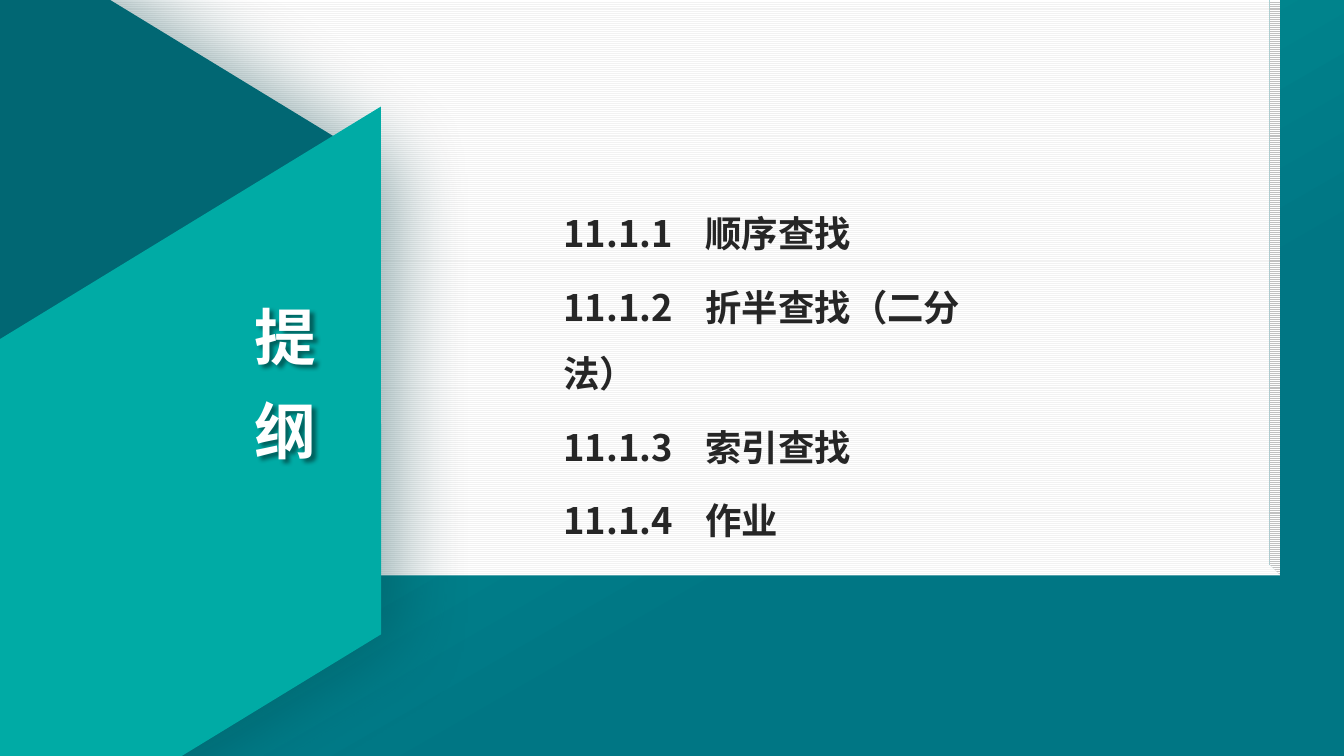
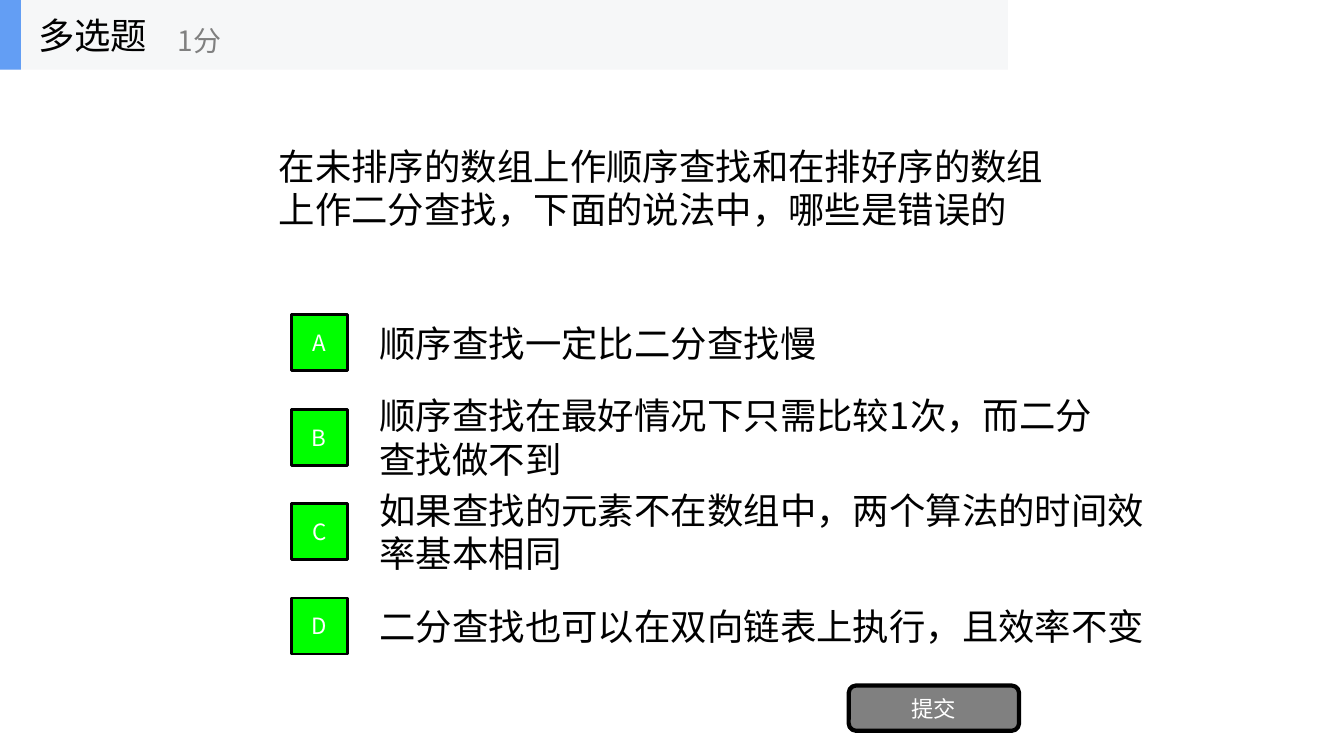
from lxml import etree
from pptx import Presentation
from pptx.dml.color import RGBColor
from pptx.enum.dml import MSO_PATTERN
from pptx.enum.shapes import MSO_SHAPE
from pptx.enum.text import MSO_ANCHOR, MSO_AUTO_SIZE, PP_ALIGN
from pptx.oxml.ns import qn
from pptx.util import Inches, Pt

RECTANGLE, ROUNDED = MSO_SHAPE.RECTANGLE, MSO_SHAPE.ROUNDED_RECTANGLE
CUBE, HEXAGON, PARALLELOGRAM = MSO_SHAPE.CUBE, MSO_SHAPE.HEXAGON, MSO_SHAPE.PARALLELOGRAM
LIGHT_HORIZONTAL = MSO_PATTERN.LIGHT_HORIZONTAL
TOP, MIDDLE = MSO_ANCHOR.TOP, MSO_ANCHOR.MIDDLE
LEFT, CENTER = PP_ALIGN.LEFT, PP_ALIGN.CENTER
FIXED, GROW = MSO_AUTO_SIZE.NONE, MSO_AUTO_SIZE.SHAPE_TO_FIT_TEXT

WHITE = RGBColor(0xFF, 0xFF, 0xFF)
BLACK = RGBColor(0x00, 0x00, 0x00)
GRAY = RGBColor(0x80, 0x80, 0x80)
INK = RGBColor(0x26, 0x26, 0x26)
PAPER_LINE = RGBColor(0xF2, 0xF2, 0xF2)
TURQUOISE = RGBColor(0x00, 0xAB, 0xA5)
TEAL = RGBColor(0x00, 0x76, 0x84)
DEEP_TEAL = RGBColor(0x01, 0x67, 0x73)
SHADE = RGBColor(0x01, 0x3F, 0x45)
GREEN = RGBColor(0x00, 0xFF, 0x00)
BAND = RGBColor(0xF6, 0xF7, 0xF8)
ACCENT = RGBColor(0x63, 0x9E, 0xF4)

FONT = "Noto Sans CJK SC"
WIDTH, HEIGHT = Inches(13.333), Inches(7.5)

BODY = {"size": Pt(26), "color": BLACK}
OUTLINE = {"size": Pt(26), "color": INK, "bold": True}
TITLE = {"size": Pt(44), "color": WHITE, "bold": True}
SCORE = {"size": Pt(20), "color": GRAY}
LABEL = {"size": Pt(16), "color": WHITE}

BAND_HEIGHT = 9.2
OPTION_TOP, OPTION_PITCH, OPTION_HEIGHT = 40.67, 12.49, 9.33
MARK_HEIGHT = 7.41

TOPICS = [
    ("11.1.1", "顺序查找"),
    ("11.1.2", "折半查找（二分法）"),
    ("11.1.3", "索引查找"),
    ("11.1.4", "作业"),
]
QUESTION = "在未排序的数组上作顺序查找和在排好序的数组上作二分查找，下面的说法中，哪些是错误的"
OPTIONS = [
    ("A", "顺序查找一定比二分查找慢", 52.5),
    ("B", "顺序查找在最好情况下只需比较1次，而二分查找做不到", 55.2),
    ("C", "如果查找的元素不在数组中，两个算法的时间效率基本相同", 58.65),
    ("D", "二分查找也可以在双向链表上执行，且效率不变", 63.83),
]


def share(left, top, width, height):
    """Turn percentages of the slide's width and height into lengths."""
    return (int(WIDTH * left / 100), int(HEIGHT * top / 100),
            int(WIDTH * width / 100), int(HEIGHT * height / 100))


def set_gradient(fill, stops, clockwise_angle):
    fill.gradient()
    fill.gradient_angle = 360 - clockwise_angle
    for stop, (position, color) in zip(fill.gradient_stops, stops):
        stop.position = position
        stop.color.rgb = color


def add_shadow(shape, color, opacity, blur, distance, angle):
    shape.shadow.inherit = False
    effects = shape._element.spPr.find(qn("a:effectLst"))
    outer = etree.SubElement(effects, qn("a:outerShdw"), {
        "blurRad": str(Pt(blur)), "dist": str(Pt(distance)),
        "dir": str(angle * 60000), "algn": "ctr", "rotWithShape": "0"})
    tint = etree.SubElement(outer, qn("a:srgbClr"), val=str(color))
    etree.SubElement(tint, qn("a:alpha"), val=str(opacity * 1000))


def add_shape(slide, kind, place, color=None, line=None, adjustments=(), rotation=0):
    """Add a flat shape; line is a (colour, points) pair."""
    shape = slide.shapes.add_shape(kind, *share(*place))
    shape.shadow.inherit = False
    shape.rotation = rotation
    for index, value in enumerate(adjustments):
        shape.adjustments[index] = value
    if color is not None:
        shape.fill.solid()
        shape.fill.fore_color.rgb = color
    if line:
        shape.line.color.rgb, shape.line.width = line[0], Pt(line[1])
    else:
        shape.line.fill.background()
    return shape


def write(shape, lines, style, frame=None, paragraph_format=None, space_before=0, tab=None):
    """Fill a shape with one paragraph for each line."""
    text_frame = shape.text_frame
    settings = {"word_wrap": True, "auto_size": FIXED, "vertical_anchor": MIDDLE}
    for name, value in {**settings, **(frame or {})}.items():
        setattr(text_frame, name, value)
    for index, line in enumerate(lines):
        paragraph = text_frame.add_paragraph() if index else text_frame.paragraphs[0]
        for name, value in {"alignment": LEFT, **(paragraph_format or {})}.items():
            setattr(paragraph, name, value)
        if index and space_before:
            paragraph.space_before = Pt(space_before)
        if tab:
            tabs = etree.SubElement(paragraph._p.get_or_add_pPr(), qn("a:tabLst"))
            etree.SubElement(tabs, qn("a:tab"), pos=str(tab), algn="l")
        run = paragraph.add_run()
        run.text = line
        run.font.name = FONT
        run.font.color.rgb = style["color"]
        run.font.size = style["size"]
        run.font.bold = style.get("bold", False)
        etree.SubElement(run._r.get_or_add_rPr(), qn("a:ea"), typeface=FONT)


def add_text(slide, place, lines, style, **layout):
    text_box = slide.shapes.add_textbox(*share(*place))
    write(text_box, lines, style, **layout)
    return text_box


def add_label(slide, kind, place, text, color, line_width):
    shape = add_shape(slide, kind, place, color, (BLACK, line_width))
    write(shape, [text], LABEL, paragraph_format={"alignment": CENTER})


def add_paper(slide):
    paper = add_shape(slide, CUBE, (0, -2.67, 95.25, 78.8), adjustments=[0.018])
    paper._element.spPr.find(qn("a:xfrm")).set("flipV", "1")
    paper.fill.patterned()
    paper.fill.pattern = LIGHT_HORIZONTAL
    paper.fill.fore_color.rgb = PAPER_LINE
    paper.fill.back_color.rgb = WHITE


def add_ribbon(slide):
    hexagon = add_shape(slide, HEXAGON, (-46.58, -10.53, 78.45, 126.8),
                        adjustments=[0.305], rotation=90)
    set_gradient(hexagon.fill, [(0.77, DEEP_TEAL), (1, TEAL)], 90)
    add_shadow(hexagon, SHADE, 40, 55, 13, 0)
    add_shape(slide, PARALLELOGRAM, (-20.55, 38.53, 62.18, 59.6), TURQUOISE,
              adjustments=[0.61], rotation=328.6)


def build_outline(slide):
    set_gradient(slide.background.fill, [(0, TURQUOISE), (0.67, TEAL)], 60)
    add_paper(slide)
    add_ribbon(slide)
    no_margins = dict.fromkeys(
        ["margin_left", "margin_top", "margin_right", "margin_bottom"], 0)
    title = add_text(slide, (18.64, 36.93, 5.25, 24.8), "提纲", TITLE,
                     frame={**no_margins, "vertical_anchor": TOP},
                     paragraph_format={"alignment": CENTER, "line_spacing": Pt(67)})
    add_shadow(title, BLACK, 43, 3, 3, 45)
    add_text(slide, (41.18, 25.07, 35.18, 38), ["\t".join(topic) for topic in TOPICS],
             OUTLINE, frame={"vertical_anchor": TOP, "margin_top": 0, "auto_size": GROW},
             paragraph_format={"line_spacing": 1.5}, space_before=6, tab=Inches(1.41))


def build_quiz(slide):
    slide.background.fill.solid()
    slide.background.fill.fore_color.rgb = WHITE
    add_text(slide, (20, BAND_HEIGHT, 60, 31.2), [QUESTION], BODY)
    for row, (letter, text, width) in enumerate(OPTIONS):
        top = OPTION_TOP + row * OPTION_PITCH
        mark_top = top + (OPTION_HEIGHT - MARK_HEIGHT) / 2
        add_text(slide, (27.5, top, width, OPTION_HEIGHT), [text], BODY)
        add_label(slide, RECTANGLE, (21.67, mark_top, 4.17, MARK_HEIGHT), letter, GREEN, 2)
    add_label(slide, ROUNDED, (63.15, 90.67, 12.68, 6), "提交", GRAY, 3)
    add_shape(slide, RECTANGLE, (0, 0, 75, BAND_HEIGHT), BAND)
    add_shape(slide, RECTANGLE, (0, 0, 1.56, BAND_HEIGHT), ACCENT)
    add_text(slide, (2.1, 0, 15.6, BAND_HEIGHT), ["多选题"], BODY)
    add_text(slide, (12.5, 1.6, 18.75, 7.47), ["1分"], SCORE)


def main():
    presentation = Presentation()
    presentation.slide_width, presentation.slide_height = WIDTH, HEIGHT
    blank = presentation.slide_layouts[6]
    for build in (build_outline, build_quiz):
        build(presentation.slides.add_slide(blank))
    presentation.save("out.pptx")


if __name__ == "__main__":
    main()
